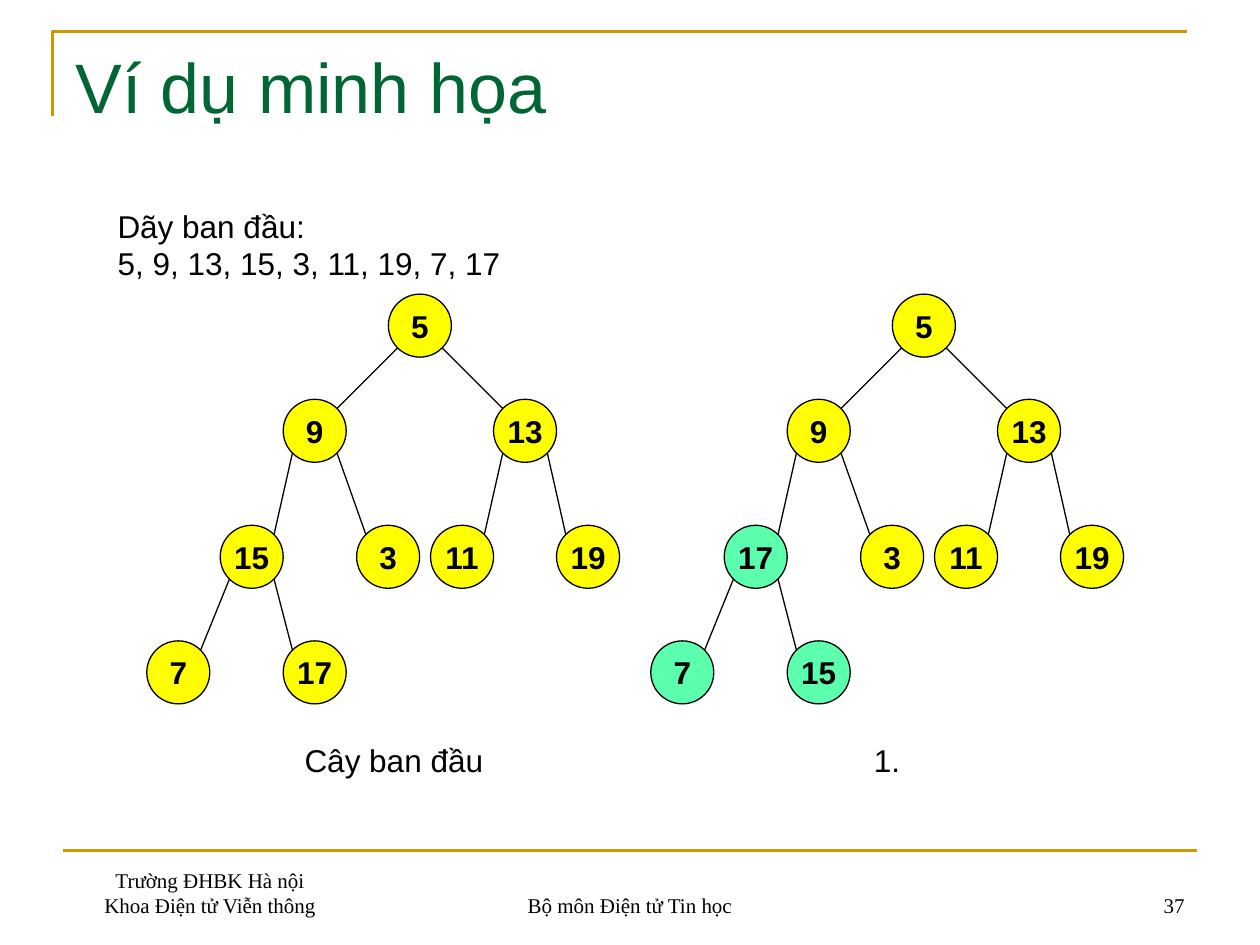
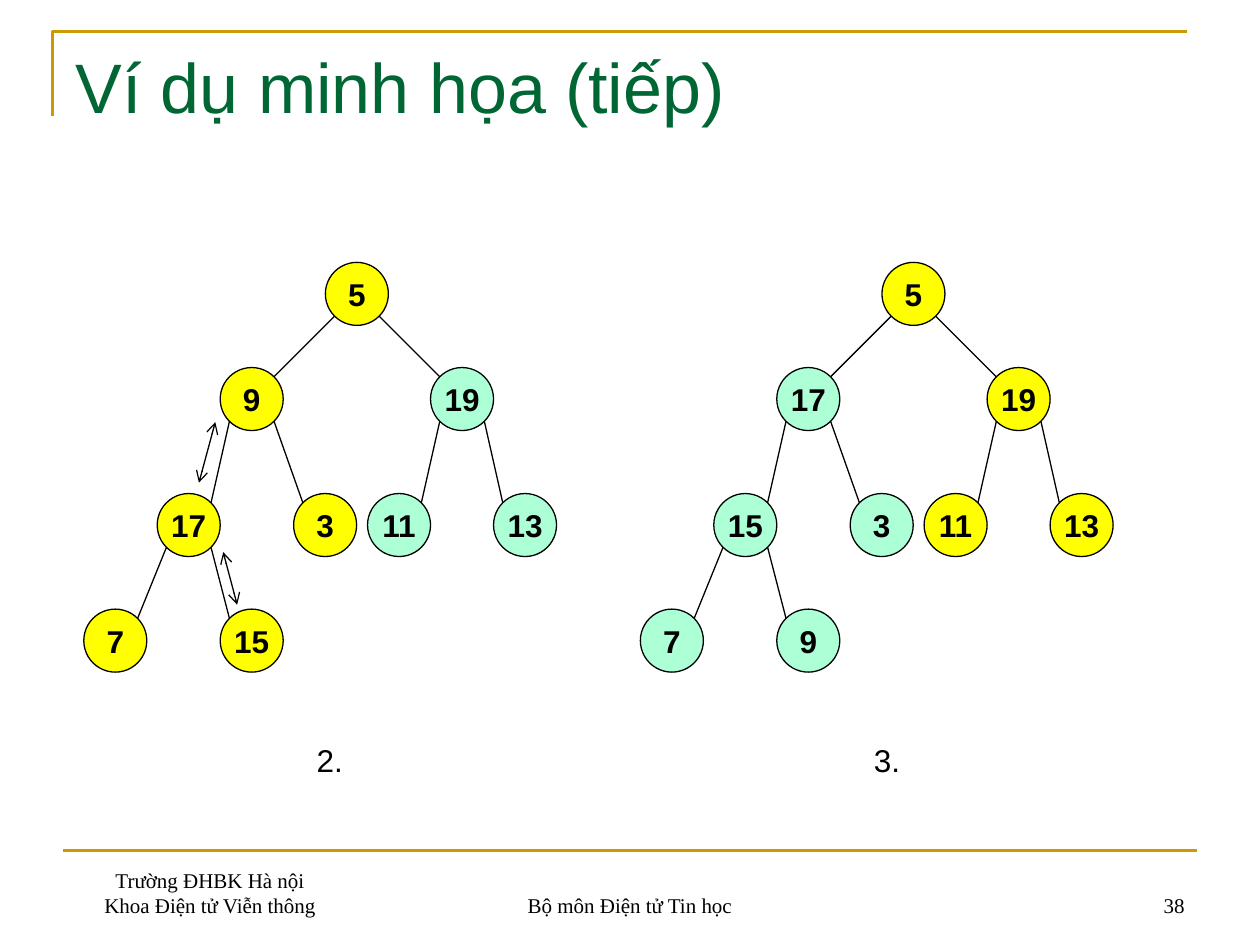
from lxml.etree import SubElement
from pptx import Presentation
from pptx.dml.color import RGBColor
from pptx.enum.shapes import MSO_CONNECTOR as Link, MSO_SHAPE as Kind
from pptx.enum.text import MSO_ANCHOR as Anchor, MSO_AUTO_SIZE as Fit, PP_ALIGN as Align
from pptx.oxml.ns import qn
from pptx.util import Cm, Pt

# Content: each tree lists its values in level order
SLIDES = [
    {
        "title": "Ví dụ minh họa",
        "page": 37,
        "trees": [
            {"root": (7.83, 5.93), "keys": [5, 9, 13, 15, 3, 11, 19, 7, 17],
             "note": ("Cây ban đầu", 5.08, 5.72)},
            {"root": (17.99, 5.93), "keys": [5, 9, 13, 17, 3, 11, 19, 7, 15],
             "lit": {3, 7, 8}, "tone": "green", "note": ("1.", 16.51, 2.74)},
        ],
        "intro": ["Dãy ban đầu:", "5, 9, 13, 15, 3, 11, 19, 7, 17"],
    },
    {
        "title": "Ví dụ minh họa (tiếp)",
        "page": 38,
        "trees": [
            {"root": (6.56, 5.29), "keys": [5, 9, 19, 17, 3, 11, 13, 7, 15],
             "lit": {2, 5, 6}, "tone": "mint", "note": ("2.", 5.28, 2.74),
             "swaps": [((4.34, 8.51), (4.01, 9.73)), ((4.5, 11.13), (4.78, 12.19))]},
            {"root": (17.78, 5.29), "keys": [5, 17, 19, 15, 3, 11, 13, 7, 9],
             "lit": {1, 3, 4, 7, 8}, "tone": "mint", "note": ("3.", 16.51, 2.74)},
        ],
    },
]
SCHOOL = ["Trường ĐHBK Hà nội", "Khoa Điện tử Viễn thông"]
UNIT = ["Bộ môn Điện tử Tin học"]

# Style
HUES = {"gold": "CC9900", "title": "006633", "ink": "000000",
        "yellow": "FFFF00", "green": "5CFFAD", "mint": "ADFFD6"}
SANS, SERIF = "Arial", "Times New Roman"

# Node places relative to the root, in level order
SPOTS = [(0, 0), (-2.12, 2.12), (2.12, 2.12),
         (-3.39, 4.66), (-0.64, 4.66), (0.85, 4.66), (3.39, 4.66),
         (-4.87, 6.99), (-2.12, 6.99)]
SIZE = 1.27
RIM = SIZE / 2 * 0.5 ** 0.5  # centre to a diagonal point of the circle


def hue(name):
    return RGBColor.from_string(HUES[name])


def write(frame, lines, size, font=SANS, tint="ink", align=Align.LEFT, bold=False):
    for n, line in enumerate(lines):
        para = frame.paragraphs[0] if n == 0 else frame.add_paragraph()
        para.alignment = align
        run = para.add_run()
        run.text = line
        run.font.size, run.font.name, run.font.bold = Pt(size), font, bold
        run.font.color.rgb = hue(tint)


def label(slide, box, lines, size=18, anchor=Anchor.TOP, fit=Fit.NONE, **look):
    frame = slide.shapes.add_textbox(*map(Cm, box)).text_frame
    frame.word_wrap, frame.auto_size = True, fit
    frame.vertical_anchor = anchor
    write(frame, lines, size, **look)


def rule(slide, start, end, tint="ink", width=0.75, arrows=False):
    line = slide.shapes.add_connector(Link.STRAIGHT, *map(Cm, start + end))
    line.line.color.rgb, line.line.width = hue(tint), Pt(width)
    props = line._element.spPr
    if arrows:
        for tag in ("a:headEnd", "a:tailEnd"):
            SubElement(props.find(qn("a:ln")), qn(tag), type="arrow")
    SubElement(props, qn("a:effectLst"))


def base(slide, title, page):
    # Corner bracket and footer rule
    pen = slide.shapes.build_freeform(Cm(1.06), Cm(2.33))
    pen.add_line_segments([(Cm(1.06), Cm(0.64)), (Cm(23.92), Cm(0.64))], close=False)
    edge = pen.convert_to_shape()
    edge.shadow.inherit = False
    edge.fill.background()
    edge.line.color.rgb, edge.line.width = hue("gold"), Pt(1.5)
    rule(slide, (1.27, 17.15), (24.13, 17.15), "gold", 1.5)

    # Title
    head = slide.shapes.title
    head.left, head.top, head.width, head.height = map(Cm, (1.27, 0.76, 22.86, 3.18))
    head.text_frame.vertical_anchor = Anchor.TOP
    head.text_frame.auto_size = Fit.NONE
    write(head.text_frame, [title], 40, tint="title")

    # Footer
    for left, width, lines, align in [(1.27, 5.93, SCHOOL, Align.CENTER),
                                      (8.68, 8.04, UNIT, Align.CENTER),
                                      (18.2, 5.93, [str(page)], Align.RIGHT)]:
        label(slide, (left, 17.36, width, 1.27), lines, 12, Anchor.BOTTOM,
              font=SERIF, align=align)


def node(slide, x, y, key, tone):
    disc = slide.shapes.add_shape(Kind.OVAL, *map(Cm, (x, y, SIZE, SIZE)))
    disc.shadow.inherit = False
    disc.fill.solid()
    disc.fill.fore_color.rgb = hue(tone)
    disc.line.color.rgb, disc.line.width = hue("ink"), Pt(0.75)
    frame = disc.text_frame
    frame.margin_left = frame.margin_right = 0
    frame.vertical_anchor = Anchor.MIDDLE
    write(frame, [str(key)], 18, align=Align.CENTER, bold=True)


def draw(slide, tree):
    left, top = tree["root"]
    spots = [(left + x, top + y) for x, y in SPOTS]
    for n, (spot, key) in enumerate(zip(spots, tree["keys"])):
        node(slide, *spot, key, tree["tone"] if n in tree.get("lit", ()) else "yellow")

    # Edges: odd places are left children, even ones right children
    mids = [(x + SIZE / 2, y + SIZE / 2) for x, y in spots]
    for n in range(1, len(mids)):
        (px, py), (cx, cy) = mids[(n - 1) // 2], mids[n]
        side = -RIM if n % 2 else RIM
        rule(slide, (px + side, py + RIM), (cx - side, cy - RIM))
    for start, end in tree.get("swaps", ()):
        rule(slide, start, end, arrows=True)

    text, x, width = tree["note"]
    label(slide, (x, 14.82, width, 1.02), [text], fit=Fit.SHAPE_TO_FIT_TEXT,
          align=Align.CENTER)


def main():
    deck = Presentation()
    deck.slide_width, deck.slide_height = Cm(25.4), Cm(19.05)
    for data in SLIDES:
        slide = deck.slides.add_slide(deck.slide_layouts[5])
        base(slide, data["title"], data["page"])
        for tree in data["trees"]:
            draw(slide, tree)
        if "intro" in data:
            label(slide, (2.12, 4.04, 12.52, 1.8), data["intro"],
                  fit=Fit.SHAPE_TO_FIT_TEXT)
    deck.save("out.pptx")


if __name__ == "__main__":
    main()
